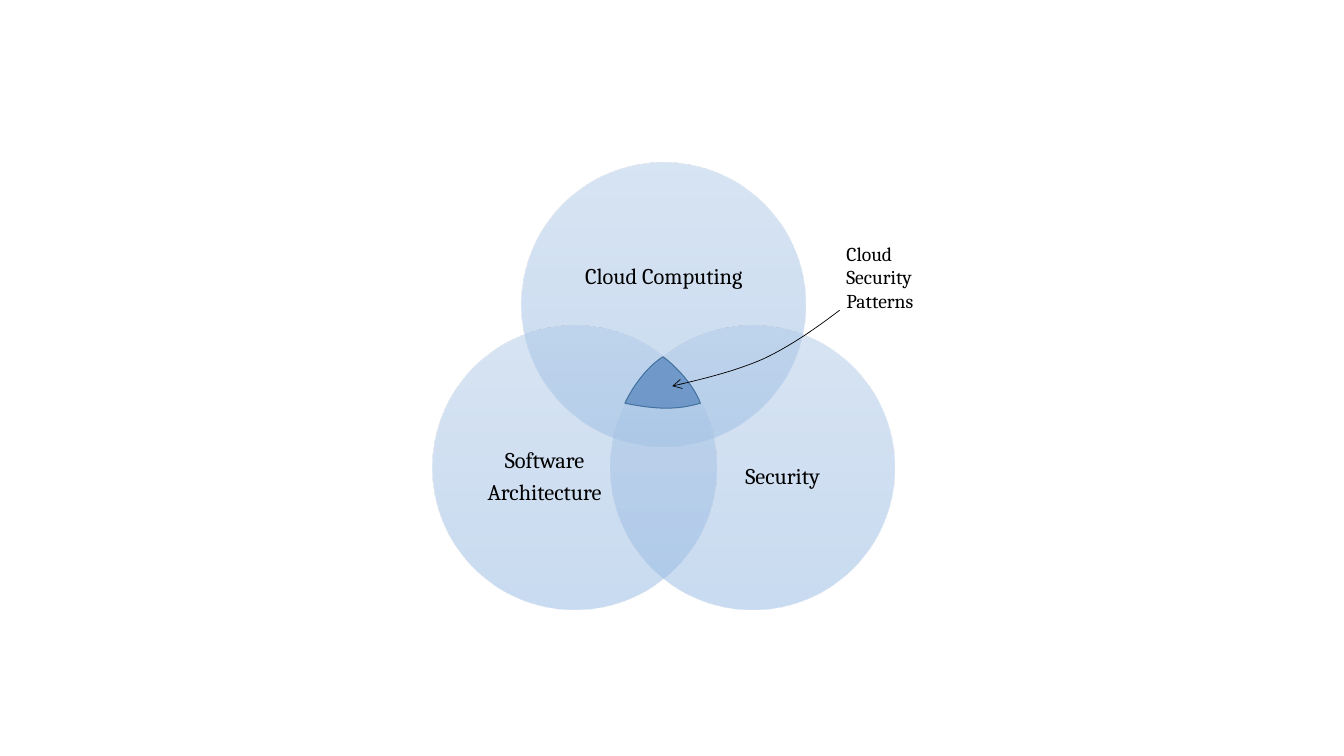
from lxml.etree import SubElement as Sub
from pptx import Presentation
from pptx.dml.color import RGBColor
from pptx.enum.shapes import MSO_SHAPE as Kind
from pptx.enum.text import MSO_ANCHOR as Anchor, MSO_AUTO_SIZE as Auto, PP_ALIGN as Align
from pptx.oxml import parse_xml
from pptx.oxml.ns import nsdecls, qn
from pptx.util import Cm, Pt

FONT = "Cambria"
BLACK = "000000"
SIZE = 7.16
MID, TOP, STEP, DROP = 13.14, 4.09, 2.25, 4.11
SETS = [
    ("Cloud Computing", 0, 0, (14.1, 5.36, 5.26, 3.23)),
    ("Security", 1, 1, (17.58, 10.06, 4.29, 3.94)),
    ("Software\nArchitecture", -1, 1, (11.58, 10.06, 4.29, 3.94)),
]
NOTE = ("Cloud\nSecurity\nPatterns", (21.08, 5.97, 2.74, 2.06))
STOPS = [(0, "B1CBE9"), (50, "A3C1E5"), (100, "93B9E4")]
CORE = [
    (15.75, 10.16), (15.9, 9.83), (16.26, 9.27), (16.71, 8.99),
    (17.12, 9.3), (17.5, 9.75), (17.65, 10.16),
    (17.2, 10.29), (16.71, 10.36), (15.75, 10.16),
]
ARROW = [
    (21.16, 7.82), (20.55, 8.28), (19.94, 8.71), (19.25, 9.04),
    (18.54, 9.35), (17.73, 9.55), (16.94, 9.73),
]


def paint(color, code):
    color.rgb = RGBColor.from_string(code)


def shade(shape):
    stops = "".join(
        f'<a:gs pos="{pos * 1000}"><a:srgbClr val="{code}">'
        f'<a:alpha val="50000"/></a:srgbClr></a:gs>'
        for pos, code in STOPS
    )
    grad = parse_xml(
        f'<a:gradFill {nsdecls("a")} rotWithShape="1"><a:gsLst>{stops}</a:gsLst>'
        f'<a:lin ang="5400000" scaled="0"/></a:gradFill>'
    )
    shape.element.spPr.find(qn("a:prstGeom")).addnext(grad)


def label(shapes, text, box, size):
    frame = shapes.add_textbox(*map(Cm, box)).text_frame
    frame.word_wrap = True
    frame.text = text
    for par in frame.paragraphs:
        font = par.runs[0].font
        font.name, font.size = FONT, Pt(size)
        paint(font.color, BLACK)
    return frame


def center(frame):
    frame.vertical_anchor = Anchor.MIDDLE
    frame.margin_left = frame.margin_right = 0
    frame.margin_top = frame.margin_bottom = 0
    for par in frame.paragraphs:
        par.alignment = Align.CENTER
        par.line_spacing = 0.9
        par.space_after = Pt(6)


def trace(knots, count=16):
    dots = [knots[0]]
    for i in range(0, len(knots) - 1, 3):
        for k in range(1, count + 1):
            t = k / count
            parts = ((1 - t) ** 3, 3 * t * (1 - t) ** 2, 3 * t * t * (1 - t), t ** 3)
            dots.append(tuple(
                sum(w * knot[axis] for w, knot in zip(parts, knots[i:i + 4]))
                for axis in (0, 1)
            ))
    return [(Cm(x), Cm(y)) for x, y in dots]


def curve(shapes, knots, close, code, width):
    first, *rest = trace(knots)
    pen = shapes.build_freeform(*first)
    pen.add_line_segments(rest, close=close)
    shape = pen.convert_to_shape()
    shape.shadow.inherit = False
    paint(shape.line.color, code)
    shape.line.width = Pt(width)
    return shape


def main():
    deck = Presentation()
    deck.slide_width, deck.slide_height = Cm(33.87), Cm(19.05)
    shapes = deck.slides.add_slide(deck.slide_layouts[6]).shapes

    venn = shapes.add_group_shape().shapes
    for text, col, row, box in SETS:
        left, top = MID + col * STEP, TOP + row * DROP
        disc = venn.add_shape(Kind.OVAL, Cm(left), Cm(top), Cm(SIZE), Cm(SIZE))
        disc.shadow.inherit = False
        disc.line.fill.background()
        shade(disc)
        center(label(venn, text, box, 16))

    core = curve(shapes, CORE, True, "43739E", 0.75)
    core.fill.solid()
    paint(core.fill.fore_color, "7099CA")

    label(shapes, *NOTE, 14).auto_size = Auto.SHAPE_TO_FIT_TEXT

    arrow = curve(shapes, ARROW, False, BLACK, 0.5)
    arrow.fill.background()
    Sub(arrow.element.spPr.find(qn("a:ln")), qn("a:tailEnd"), type="arrow")

    deck.save("out.pptx")


if __name__ == "__main__":
    main()
